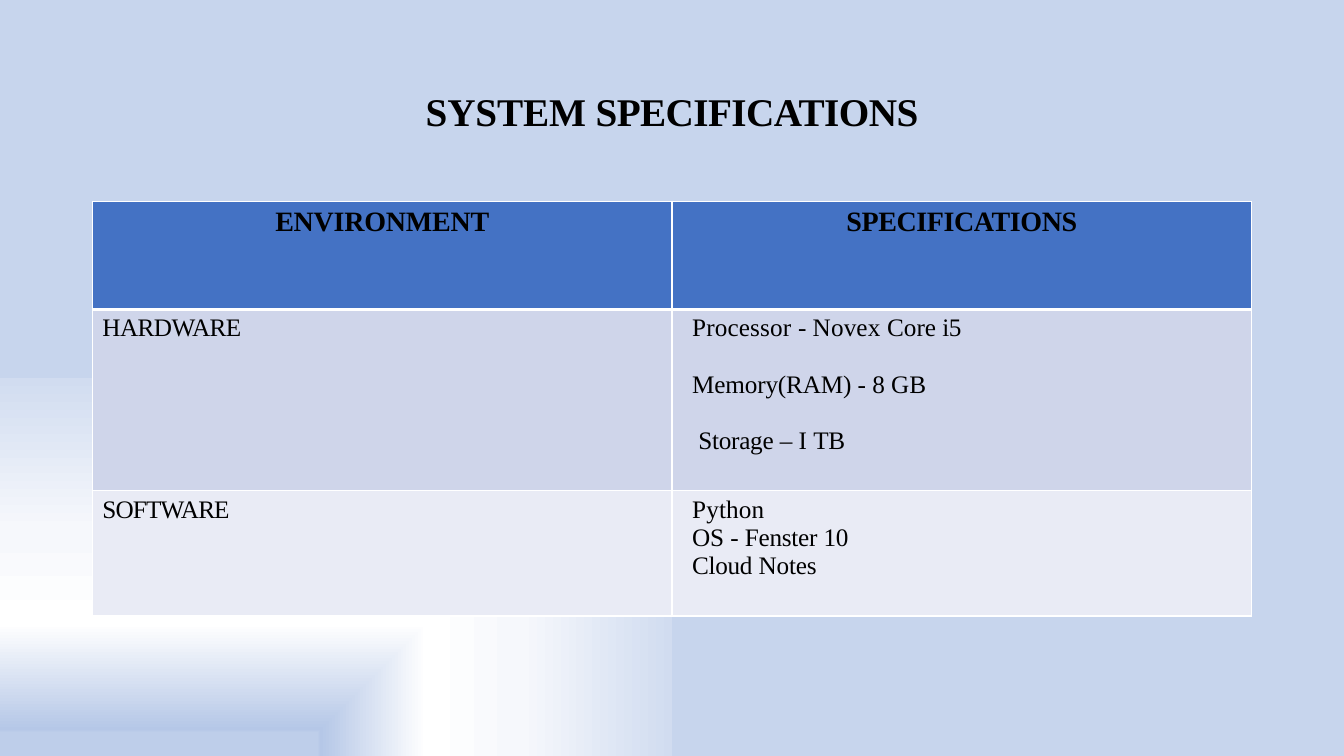
from pptx import Presentation
from pptx.dml.color import RGBColor
from pptx.enum.text import MSO_ANCHOR, PP_ALIGN
from pptx.oxml import parse_xml
from pptx.oxml.ns import nsdecls, qn
from pptx.util import Pt

FONT = "Times New Roman"
BACKGROUND_STOPS = [(6, "BECEEA"), (7, "B5C7E7"), (35, "FFFFFF"), (60, "F6F8FC"),
                    (100, "D1DCF0"), (100, "ABC0E4"), (100, "C7D5ED")]
ROW_HEIGHTS = [77, 129.5, 89.5]
ROW_FILLS = ["4472C4", "CFD5EA", "E9EBF5"]

# Runs are (text, letter spacing in points)
TITLE = [("SYSTEM ", -0.1), ("SPECIFICATIONS", -0.4)]
HEADERS = [("ENVIRONMENT", -0.2), ("SPECIFICATIONS", -0.3)]
ENVIRONMENTS = [("HARDWARE", -0.4), ("SOFTWARE", -0.6)]
# Specification lines are (runs, indent, line spacing, space before)
HARDWARE = [
    ([("Processor ", 0.1), ("- ", 0), ("Novex ", 0.1), ("Core ", 0), ("i5", -0.3)], 7.2, 1, 0),
    ([("Memory(RAM) ", -0.1), ("- 8 ", 0), ("GB", -0.1)], 7.2, 1.98, 0.8),
    ([("Storage ", -0.2), ("– I ", 0), ("TB", -0.2)], 11.7, 1.98, 0.8),
]
SOFTWARE = [
    ([("Python", 0.1)], 7.2, 1, 0),
    ([("OS ", -0.1), ("- ", 0), ("Fenster ", -0.2), ("10", -0.1)], 7.2, 1.01, 0.1),
    ([("Cloud ", -0.2), ("Notes", -0.1)], 7.2, 1.01, 0.1),
]


def rgb(color):
    return RGBColor.from_string(color)


def set_background(s):
    s.background.fill.solid()
    stops = "".join(f'<a:gs pos="{pos * 1000}"><a:srgbClr val="{color}"/></a:gs>'
                    for pos, color in BACKGROUND_STOPS)
    gradient = parse_xml(
        f'<a:gradFill {nsdecls("a")} rotWithShape="1"><a:gsLst>{stops}</a:gsLst>'
        '<a:path path="rect"><a:fillToRect t="100000" r="100000"/></a:path></a:gradFill>')
    bg_pr = s.element.find(".//" + qn("p:bgPr"))
    bg_pr.replace(bg_pr[0], gradient)


def add_runs(p, runs, size, bold=False):
    for text, spacing in runs:
        r = p.add_run()
        r.text = text
        r.font.name = FONT
        r.font.size = Pt(size)
        r.font.bold = bold
        r.font.color.rgb = rgb("000000")
        r.font._element.set("spc", str(round(spacing * 100)))


def add_title(s):
    title = s.shapes.title
    title.left, title.top, title.width, title.height = Pt(66), Pt(28.75), Pt(828), Pt(104.4)
    tf = title.text_frame
    tf.vertical_anchor = MSO_ANCHOR.MIDDLE
    p = tf.paragraphs[0]
    p.alignment = PP_ALIGN.CENTER
    p.line_spacing = 0.9
    add_runs(p, TITLE, 28, True)


def style_cell(cell, fill, top, bottom):
    tc_pr = cell._tc.get_or_add_tcPr()
    for side, width in zip("LRTB", (1, 1, top, bottom)):
        tc_pr.append(parse_xml(
            f'<a:ln{side} {nsdecls("a")} w="{Pt(width)}"><a:solidFill>'
            f'<a:srgbClr val="FFFFFF"/></a:solidFill></a:ln{side}>'))
    cell.fill.solid()
    cell.fill.fore_color.rgb = rgb(fill)


def fill_specifications(cell, lines):
    tf = cell.text_frame
    for i, (runs, indent, line_spacing, before) in enumerate(lines):
        p = tf.add_paragraph() if i else tf.paragraphs[0]
        p._p.get_or_add_pPr().set("marL", str(Pt(indent)))
        p.line_spacing = line_spacing
        p.space_before = Pt(before)
        add_runs(p, runs, 18)


def add_specification_table(s):
    table = s.shapes.add_table(3, 2, Pt(66), Pt(144), Pt(828), Pt(sum(ROW_HEIGHTS))).table
    for i, (height, fill) in enumerate(zip(ROW_HEIGHTS, ROW_FILLS)):
        table.rows[i].height = Pt(height)
        for cell in table.rows[i].cells:
            style_cell(cell, fill, 3 if i == 1 else 1, 3 if i == 0 else 1)
    # Header row
    for cell, header in zip(table.rows[0].cells, HEADERS):
        p = cell.text_frame.paragraphs[0]
        p.alignment = PP_ALIGN.CENTER
        add_runs(p, [header], 20, True)
    # Environment rows
    for i, (name, lines) in enumerate(zip(ENVIRONMENTS, (HARDWARE, SOFTWARE)), 1):
        add_runs(table.cell(i, 0).text_frame.paragraphs[0], [name], 18)
        fill_specifications(table.cell(i, 1), lines)


def main():
    prs = Presentation()
    prs.slide_width, prs.slide_height = Pt(960), Pt(540)
    s = prs.slides.add_slide(prs.slide_layouts[5])
    set_background(s)
    add_title(s)
    add_specification_table(s)
    prs.save("out.pptx")


if __name__ == "__main__":
    main()
